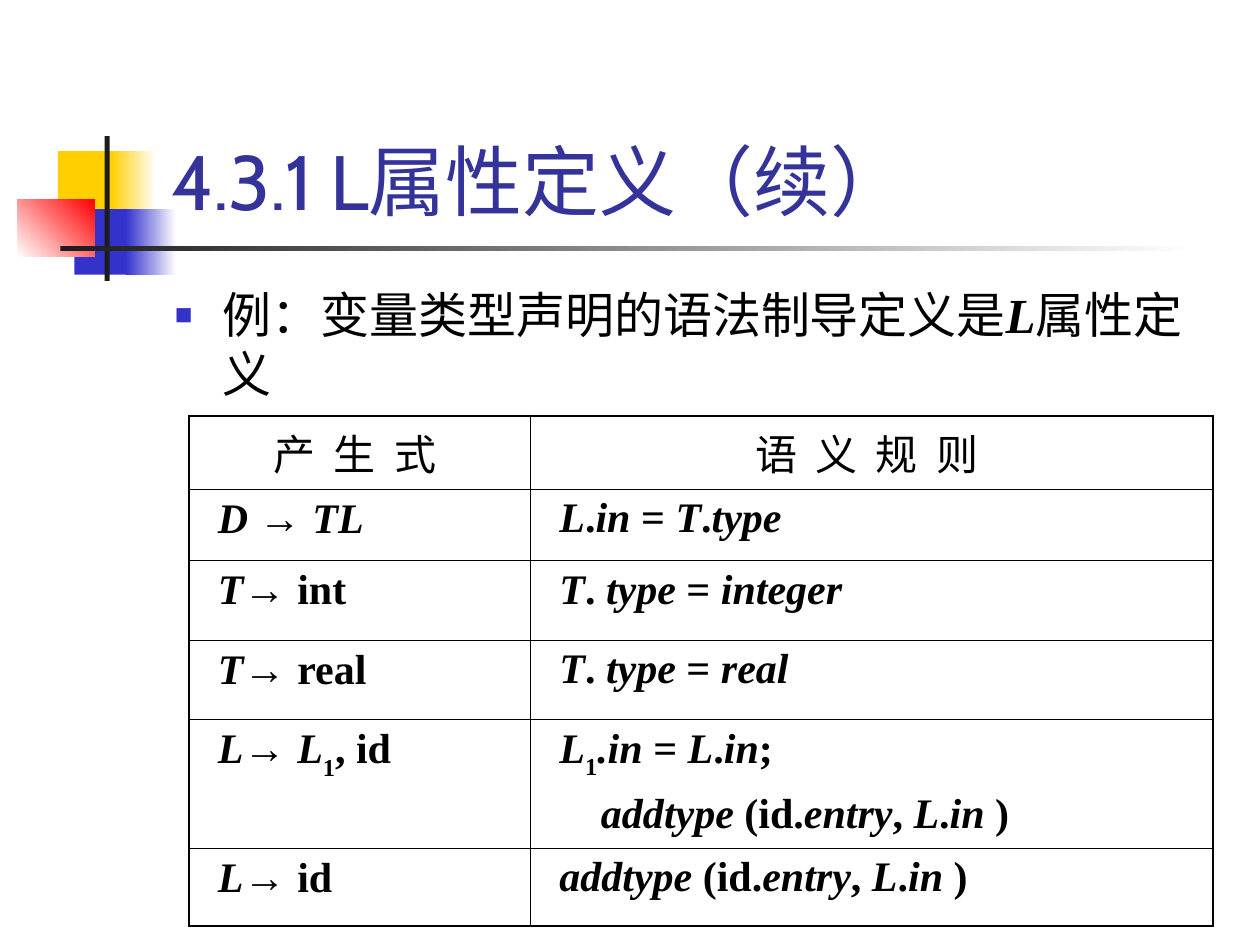
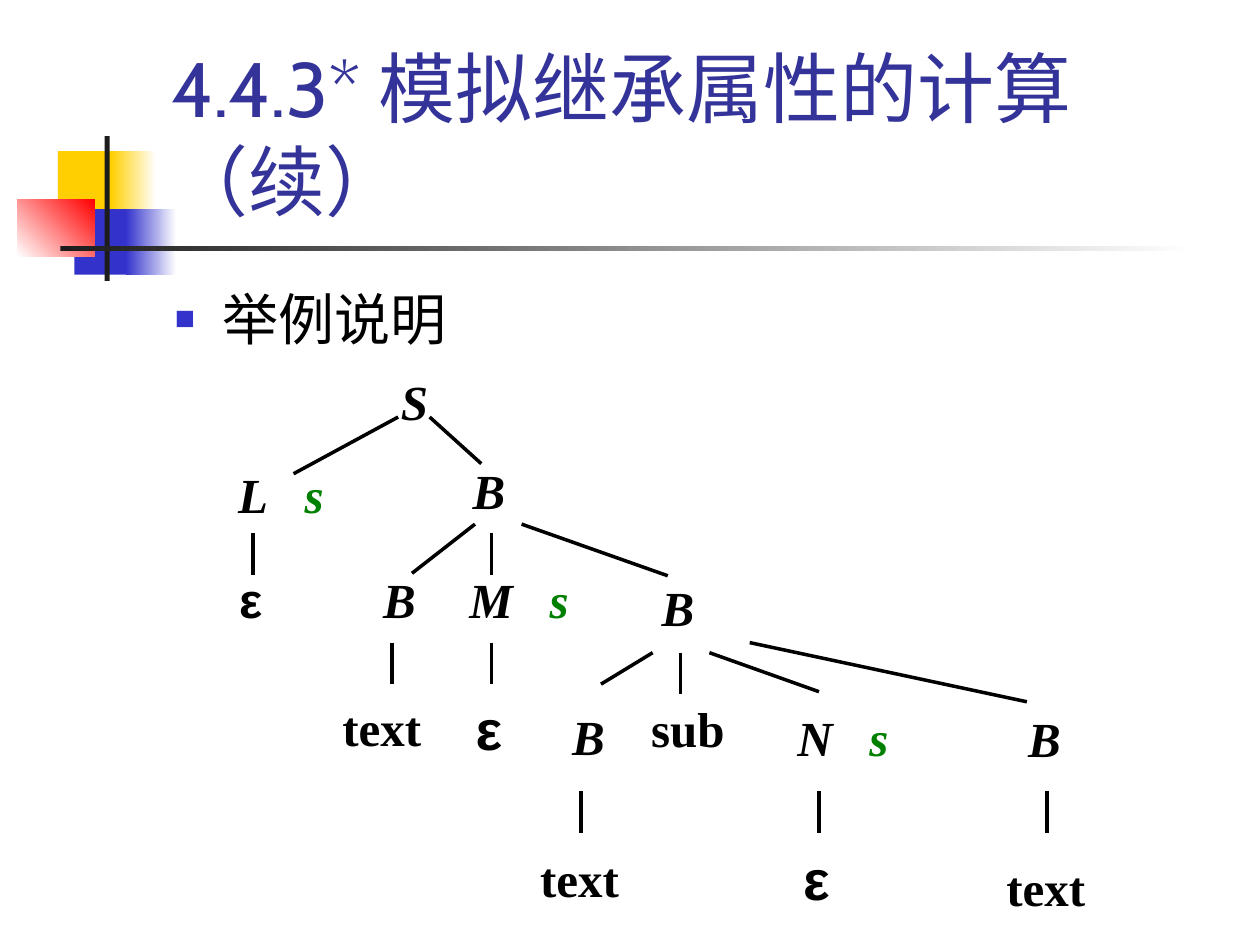
from lxml import etree
from pptx import Presentation
from pptx import util as u
from pptx.dml import color
from pptx.enum import shapes, text
from pptx.oxml import ns

BLACK, YELLOW, BLUE, RED, WHITE = "000000", "FFCF01", "3333CC", "FF0000", "FFFFFF"
CHARCOAL, TITLE_BLUE, GREEN = "1C1C1C", "333399", "008000"
SERIF, SANS, CJK, TITLE_FONT = "Times New Roman", "Arial", "Noto Sans CJK SC", "Cabin"

TITLE_BOX = (1.26, 0.24, 8.52, 1.6)

PRODUCTIONS = [
    ("*D *~→ ~*TL*", ["*L*.*in* = *T*.*type*"]),
    ("*T*~→ ~int", ["*T*.* type* = *integer*"]),
    ("*T*~→ ~real", ["*T*.* type* = *real*"]),
    ("*L*~→ ~*L*_1_, id",
     ["*L*_1_*.in* = *L*.*in*;", "*addtype* (id.*entry*, *L*.*in* )"]),
    ("*L*~→ ~id", ["*addtype* (id.*entry*, *L*.*in* )"]),
]

# Symbol, centre x and y; relative to the tree's corner
NONTERMINALS = [
    ("S", 1.67, 0.21), ("B", 2.26, 0.92), ("B", 1.55, 1.78), ("B", 3.76, 1.85),
    ("B", 3.05, 2.87), ("B", 6.67, 2.89),
]
ATTRIBUTED = [("L", 0.61, 0.95), ("M", 2.5, 1.78), ("N", 5.07, 2.88)]
WORDS = [
    ("text", 1.41, 2.8), ("sub", 3.84, 2.81), ("text", 2.98, 4.0), ("text", 6.68, 4.07),
]
EMPTY_STRINGS = [(0.37, 1.78, 28), (2.26, 2.81, 32), (4.86, 4.0, 32)]
BRANCHES = [
    (1.79, 0.34, 2.2, 0.71), (1.54, 0.34, 0.71, 0.79),
    (2.15, 1.19, 1.65, 1.58), (2.52, 1.19, 3.68, 1.6),
    (3.56, 2.21, 3.15, 2.46), (4.01, 2.21, 4.88, 2.52), (4.33, 2.13, 6.53, 2.6),
]
STEMS = [
    (0.39, 1.26), (2.28, 1.26), (1.49, 2.13), (2.28, 2.13),
    (3.78, 2.21), (2.99, 3.31), (4.88, 3.31), (6.69, 3.31),
]
STEM_LENGTH = 0.33


def rgb(value):
    return color.RGBColor.from_string(value)


def inches(values):
    return [u.Inches(value) for value in values]


def add_element(parent, tag, **attributes):
    return etree.SubElement(parent, ns.qn(tag), attributes)


def style_font(font, name, size, colour=BLACK, bold=False, italic=False):
    font.name, font.size, font.bold, font.italic = name, u.Pt(size), bold, italic
    font.color.rgb = rgb(colour)


def add_run(paragraph, words, fonts=None):
    """Add a run; fonts are the Latin and the East Asian typeface."""
    run = paragraph.add_run()
    run.text = words
    if fonts:
        run.font.name = fonts[0]
        add_element(run.font._element, "a:ea", typeface=fonts[1])
    return run


def add_text_frame(slide, box):
    frame = slide.shapes.add_textbox(*inches(box)).text_frame
    frame.word_wrap = True
    return frame


def add_block(slide, box, colour, end_colour=None, angle=0):
    block = slide.shapes.add_shape(shapes.MSO_SHAPE.RECTANGLE, *inches(box))
    block.shadow.inherit = False
    block.line.fill.background()
    if end_colour is None:
        block.fill.solid()
        block.fill.fore_color.rgb = rgb(colour)
    else:
        block.fill.gradient()
        block.fill.gradient_angle = angle
        for stop, value in zip(block.fill.gradient_stops, (colour, end_colour)):
            stop.color.rgb = rgb(value)


def add_ornament(slide, left, top):
    """Coloured squares and the cross of bars beside the title."""
    for x, y, width, height, *colours in [
        (0.32, 0.12, 0.48, 0.52, YELLOW),
        (0.74, 0.12, 0.36, 0.52, YELLOW, WHITE),
        (0.45, 0.58, 0.46, 0.52, BLUE),
        (0.86, 0.58, 0.4, 0.52, BLUE, WHITE),
        (0, 0.5, 0.61, 0.46, WHITE, RED, 45),
        (0.69, 0, 0.04, 1.15, CHARCOAL),
        (0.34, 0.87, 9, 0.04, CHARCOAL, WHITE),
    ]:
        add_block(slide, (left + x, top + y, width, height), *colours)


def add_title(slide, box, words):
    frame = add_text_frame(slide, box)
    frame.vertical_anchor = text.MSO_ANCHOR.BOTTOM
    paragraph = frame.paragraphs[0]
    add_run(paragraph, words, (TITLE_FONT, TITLE_FONT))
    style_font(paragraph.font, TITLE_FONT, 44, TITLE_BLUE)


def add_bullet(slide, box, size, pieces):
    """One bulleted paragraph; pieces are (words, is_symbol)."""
    paragraph = add_text_frame(slide, box).paragraphs[0]
    paragraph.line_spacing = u.Pt(round(size * 1.2, 1))
    properties = paragraph._p.get_or_add_pPr()
    properties.set("marL", str(u.Inches(0.38)))
    properties.set("indent", str(-u.Inches(0.38)))
    add_element(add_element(properties, "a:buClr"), "a:srgbClr", val=BLUE)
    add_element(properties, "a:buSzPct", val="60000")
    add_element(properties, "a:buFont", typeface=SANS)
    add_element(properties, "a:buChar", char="■")
    style_font(paragraph.font, CJK, size)
    for words, is_symbol in pieces:
        run = add_run(paragraph, words, (SERIF if is_symbol else CJK, CJK))
        run.font.bold = run.font.italic = is_symbol


def new_slide(presentation, title):
    slide = presentation.slides.add_slide(presentation.slide_layouts[6])
    add_ornament(slide, 0.14, 1.08)
    add_title(slide, TITLE_BOX, title)
    return slide


def add_formula(paragraph, markup):
    """Marks switch styles on and off: * italic, _ subscript, ~ arrow font."""
    style_font(paragraph.font, SERIF, 24, bold=True)
    for index, piece in enumerate(markup.split("*")):
        for depth, part in enumerate(piece.split("_")):
            for turn, words in enumerate(part.split("~")):
                if not words:
                    continue
                run = add_run(paragraph, words)
                run.font.italic = index % 2 == 1
                if depth % 2:
                    run.font._element.set("baseline", "-30000")
                if turn % 2:
                    run.font.name = SANS


def set_borders(cell, outer_sides):
    properties = cell._tc.get_or_add_tcPr()
    for side in "LRTB":
        width = u.Pt(1.08 if side in outer_sides else 0.45)
        line = add_element(properties, f"a:ln{side}", w=str(width))
        add_element(add_element(line, "a:solidFill"), "a:srgbClr", val=BLACK)
    cell.fill.background()


def add_heading(cell, words):
    cell.margin_right = u.Inches(0.14)
    paragraph = cell.text_frame.paragraphs[0]
    paragraph.alignment = text.PP_ALIGN.CENTER
    style_font(paragraph.font, CJK, 24)
    run = add_run(paragraph, words, (CJK, CJK))
    run.font.bold = False
    run.font._element.set("spc", "260")


def add_rules_table(slide, box):
    table = slide.shapes.add_table(len(PRODUCTIONS) + 1, 2, *inches(box)).table
    table.first_row = table.horz_banding = False
    for column, share in zip(table.columns, (1, 2)):
        column.width = u.Inches(box[2] * share / 3)
    for row, height in zip(table.rows, inches((0.58, 0.57, 0.63, 0.63, 1.02, 0.62))):
        row.height = height

    last_row = len(PRODUCTIONS)
    for row in range(last_row + 1):
        for column in range(2):
            cell = table.cell(row, column)
            cell.margin_left = u.Inches(0.23 if row else 0.06)
            cell.margin_right = u.Inches(0.06)
            cell.margin_bottom = u.Inches(0.01)
            vertical = "T" if row == 0 else "B" if row == last_row else ""
            set_borders(cell, "LR"[column] + vertical)

    for column, words in enumerate(("产 生 式", "语 义 规 则")):
        add_heading(table.cell(0, column), words)
    for row, (production, rules) in enumerate(PRODUCTIONS, start=1):
        add_formula(table.cell(row, 0).text_frame.paragraphs[0], production)
        frame = table.cell(row, 1).text_frame
        add_formula(frame.paragraphs[0], rules[0])
        for rule in rules[1:]:
            paragraph = frame.add_paragraph()
            paragraph.space_before = u.Pt(6)
            paragraph._p.get_or_add_pPr().set("marL", str(u.Inches(0.33)))
            add_formula(paragraph, rule)


def add_node(slide, words, x, y, font=SERIF, size=28, italic=False):
    """Centre a label on a point and return its paragraph."""
    width, height = 1.4, 0.42
    frame = add_text_frame(slide, (x - width / 2, y - height / 2, width, height))
    frame.vertical_anchor = text.MSO_ANCHOR.MIDDLE
    paragraph = frame.paragraphs[0]
    paragraph.alignment = text.PP_ALIGN.CENTER
    style_font(paragraph.font, font, size, bold=True, italic=italic)
    add_run(paragraph, words)
    return paragraph


def add_edge(slide, ends):
    edge = slide.shapes.add_connector(shapes.MSO_CONNECTOR.STRAIGHT, *inches(ends))
    edge.line.color.rgb = rgb(BLACK)
    edge.line.width = u.Pt(2)
    add_element(edge._element.spPr, "a:effectLst")


def add_parse_tree(slide, left, top):
    for symbol, x, y in NONTERMINALS:
        add_node(slide, symbol, left + x, top + y, italic=True)
    for symbol, x, y in ATTRIBUTED:
        paragraph = add_node(slide, symbol, left + x, top + y, italic=True)
        gap = add_run(paragraph, " ")
        gap.font._element.set("spc", "1400")
        add_run(paragraph, "s").font.color.rgb = rgb(GREEN)
    for word, x, y in WORDS:
        add_node(slide, word, left + x, top + y)
    for x, y, size in EMPTY_STRINGS:
        add_node(slide, "ε", left + x, top + y, SANS, size)
    stems = [(x, y, x, y + STEM_LENGTH) for x, y in STEMS]
    for x1, y1, x2, y2 in BRANCHES + stems:
        add_edge(slide, (left + x1, top + y1, left + x2, top + y2))


def add_definition_slide(presentation):
    slide = new_slide(presentation, "4.3.1 L属性定义（续）")
    add_bullet(slide, (1.29, 2.21, 8.29, 1), 28, [
        ("例：变量类型声明的语法制导定义是", False), ("L", True), ("属性定义", False)])
    add_rules_table(slide, (1.5, 3.3, 8.13, 4.05))


def add_tree_slide(presentation):
    slide = new_slide(presentation, "4.4.3* 模拟继承属性的计算（续）")
    add_bullet(slide, (1.29, 2.21, 8.5, 0.7), 32, [("举例说明", False)])
    add_parse_tree(slide, 1.62, 2.97)


def main():
    presentation = Presentation()
    presentation.slide_width, presentation.slide_height = inches((10, 7.5))
    add_definition_slide(presentation)
    add_tree_slide(presentation)
    presentation.save("out.pptx")


if __name__ == "__main__":
    main()
